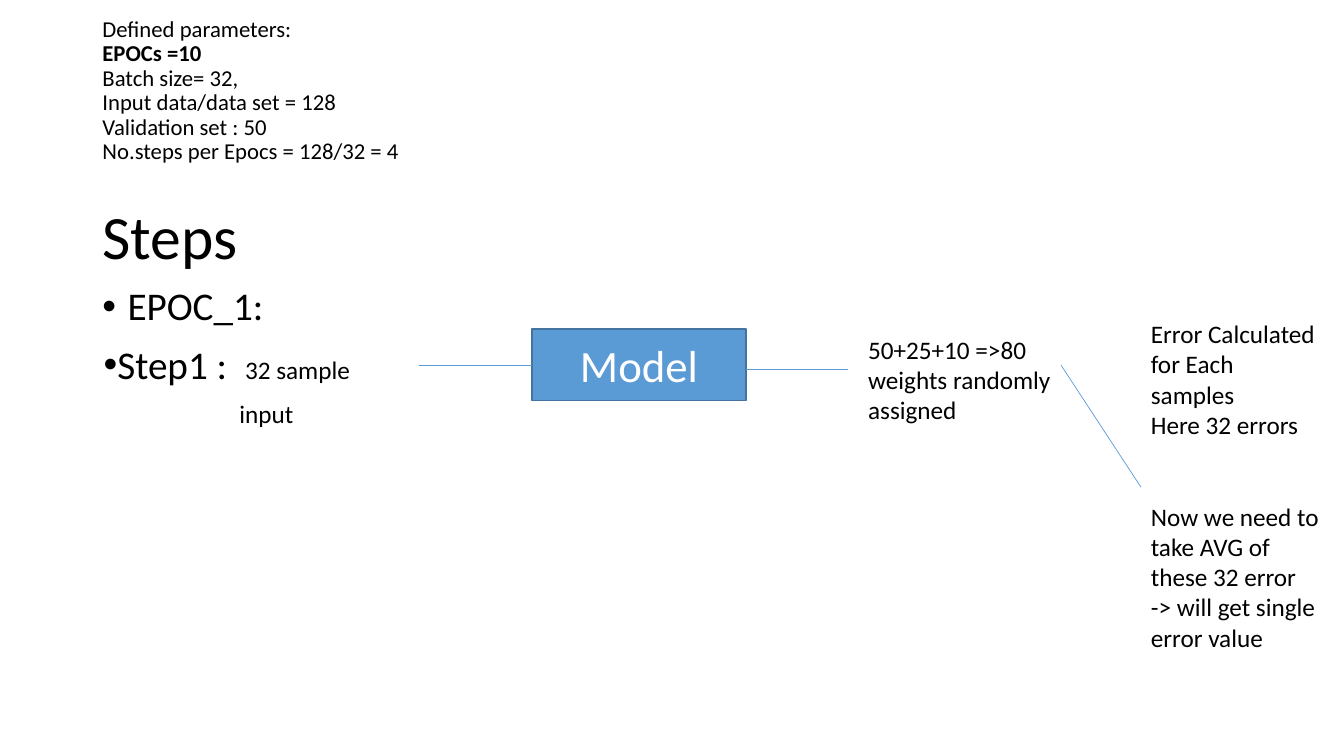
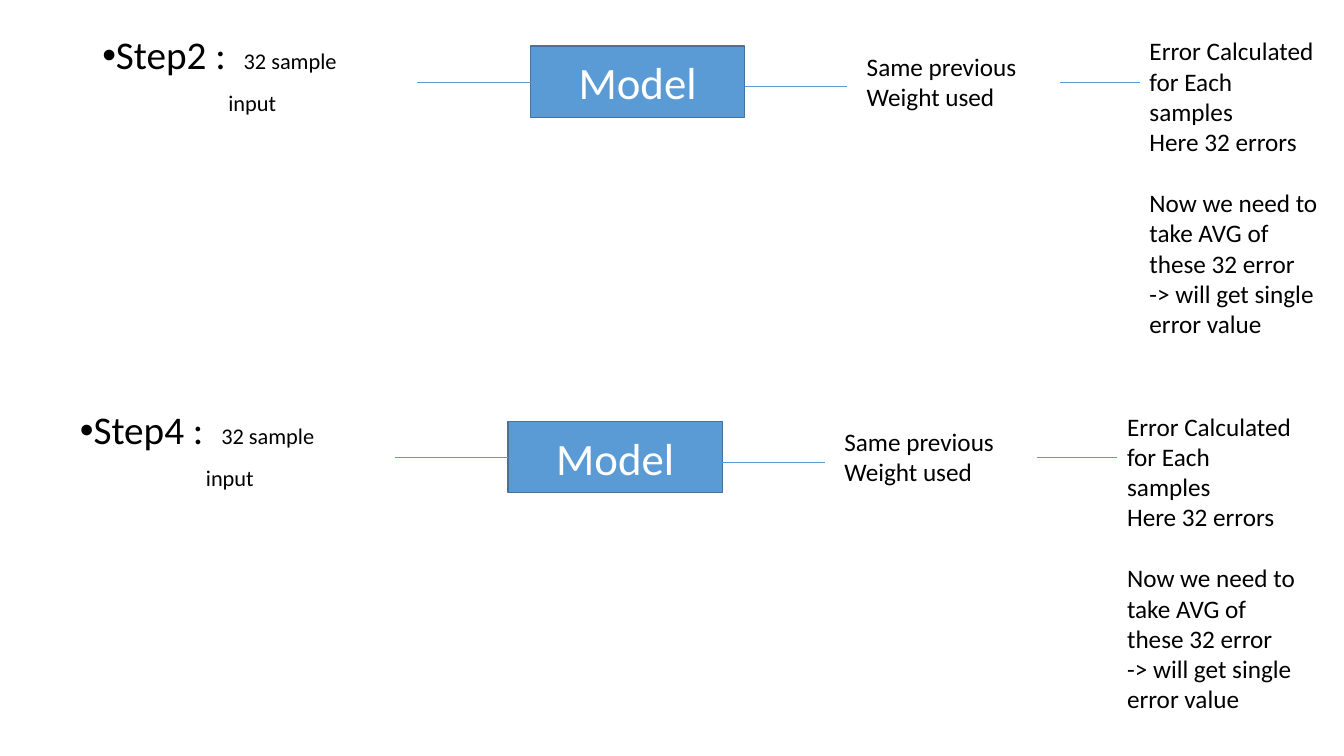
import dataclasses

import pptx
import pptx.dml.color
import pptx.enum.shapes
import pptx.enum.text
import pptx.oxml.ns
import pptx.util
from lxml import etree

Pt = pptx.util.Pt
RGB = pptx.dml.color.RGBColor
qn = pptx.oxml.ns.qn


@dataclasses.dataclass(frozen=True)
class Theme:
    font: str = "Calibri"
    ink: RGB = RGB.from_string("000000")
    paper: RGB = RGB.from_string("FFFFFF")
    accent: RGB = RGB.from_string("5B9BD5")
    outline: RGB = RGB.from_string("43739E")
    parameters: float = 16.2
    heading: float = 44
    model: float = 32
    step: float = 28
    note: float = 18
    small_note: float = 16
    tight: float = 0.9
    gap: float = 10


THEME = Theme()


def add_text_frame(slide, left, top, width, height):
    frame = slide.shapes.add_textbox(Pt(left), Pt(top), Pt(width), Pt(height)).text_frame
    frame.word_wrap = True
    return frame


def add_paragraph(frame, runs, line=1.0, before=0, indent=0, hanging=0, bullet=False, tab=None, color=THEME.ink):
    """Append a paragraph of (text, size, bold) runs, using the first one while it is empty."""
    first = frame.paragraphs[0]
    paragraph = frame.add_paragraph() if first.runs else first
    paragraph.alignment = pptx.enum.text.PP_ALIGN.LEFT
    paragraph.line_spacing = line
    paragraph.space_before = Pt(before)
    properties = paragraph._p.get_or_add_pPr()
    properties.set("marL", str(Pt(indent)))
    properties.set("indent", str(Pt(-hanging)))
    if bullet:
        etree.SubElement(properties, qn("a:buFont"), typeface="Arial")
        etree.SubElement(properties, qn("a:buChar"), char="•")
    if tab:
        stops = etree.SubElement(properties, qn("a:tabLst"))
        etree.SubElement(stops, qn("a:tab"), pos=str(Pt(tab)), algn="l")
    for text, size, bold in runs:
        run = paragraph.add_run()
        run.text = text
        run.font.name = THEME.font
        run.font.size = Pt(size)
        run.font.bold = bold
        run.font.color.rgb = color
    return paragraph


deck = pptx.Presentation()
deck.slide_width, deck.slide_height = Pt(960), Pt(540)
first_step_slide = deck.slides.add_slide(deck.slide_layouts[5])
later_steps_slide = deck.slides.add_slide(deck.slide_layouts[6])

# Training parameters and heading
title = first_step_slide.shapes.title
title.left, title.top, title.width, title.height = Pt(66), Pt(9), Pt(828), Pt(129)
title.text_frame.auto_size = pptx.enum.text.MSO_AUTO_SIZE.NONE
title.text_frame.vertical_anchor = pptx.enum.text.MSO_ANCHOR.TOP
for parameter, bold in [
    ("Defined parameters:", False),
    ("EPOCs =10", True),
    ("Batch size= 32,", False),
    ("Input data/data set = 128", False),
    ("Validation set : 50", False),
    ("No.steps per Epocs = 128/32 = 4", False),
]:
    add_paragraph(title.text_frame, [(parameter, THEME.parameters, bold)], line=THEME.tight)

steps = add_text_frame(first_step_slide, 66, 144, 300, 95)
add_paragraph(steps, [("Steps", THEME.heading, False)], line=THEME.tight)
add_paragraph(steps, [("EPOC_1:", THEME.step, False)], line=THEME.tight,
              before=THEME.gap, indent=18, hanging=18, bullet=True)

# Each step flows from input through the model to weights and error.
# Columns: slide, label, model left and top, label drop, input size and indent,
# weights, drop of the error line, gap above the averaging note
previous_weights = ["Same previous", "Weight used"]
training_steps = [
    (first_step_slide, "Step1 :", 380, 235, 8, THEME.note, 97,
     ["50+25+10 =>80 weights randomly assigned"], 87, 44),
    (later_steps_slide, "Step2 :", 379, 33, -11, THEME.small_note, 90, previous_weights, 0, 22),
    (later_steps_slide, "Step4 :", 363, 301, -11, THEME.small_note, 90, previous_weights, 0, 22),
]
model_width, model_height = 153, 51

for (slide, label, left, top, label_drop, input_size, input_indent,
     weights, error_drop, average_gap) in training_steps:
    step = add_text_frame(slide, left - 313, top + label_drop, 225, 75)
    add_paragraph(step, [(label + "\t", THEME.step, False), ("32 sample", input_size, False)],
                  line=THEME.tight, bullet=True, tab=101)
    add_paragraph(step, [("input", input_size, False)], line=THEME.tight,
                  before=THEME.gap, indent=input_indent)

    model = slide.shapes.add_shape(pptx.enum.shapes.MSO_SHAPE.RECTANGLE,
                                   Pt(left), Pt(top), Pt(model_width), Pt(model_height))
    model.shadow.inherit = False
    model.fill.solid()
    model.fill.fore_color.rgb = THEME.accent
    model.line.color.rgb = THEME.outline
    model.line.width = Pt(1)
    model.text_frame.vertical_anchor = pptx.enum.text.MSO_ANCHOR.MIDDLE
    name = add_paragraph(model.text_frame, [("Model", THEME.model, False)], color=THEME.paper)
    name.alignment = pptx.enum.text.PP_ALIGN.CENTER

    for start_x, start_y, end_x, end_y in [
        (-81, 26, 0, 26),
        (model_width, 29, 226, 29),
        (378, 26, 435, 26 + error_drop),
    ]:
        link = slide.shapes.add_connector(
            pptx.enum.shapes.MSO_CONNECTOR.STRAIGHT,
            Pt(left + start_x), Pt(top + start_y), Pt(left + end_x), Pt(top + end_y))
        link.line.color.rgb = THEME.accent
        link.line.width = Pt(0.5)
        etree.SubElement(link._element.spPr, qn("a:effectLst"))

    weights_note = add_text_frame(slide, left + 233, top, 145, 73)
    for text in weights:
        add_paragraph(weights_note, [(text, THEME.note, False)])

    error_note = add_text_frame(slide, left + 435, top - 11, 135.5, 225)
    for text, before in [
        ("Error Calculated for Each samples", 0),
        ("Here 32 errors", 0),
        ("Now we need to take AVG of these 32 error", average_gap),
        ("-> will get single error value", 0),
    ]:
        add_paragraph(error_note, [(text, THEME.note, False)], before=before)

deck.save("out.pptx")
